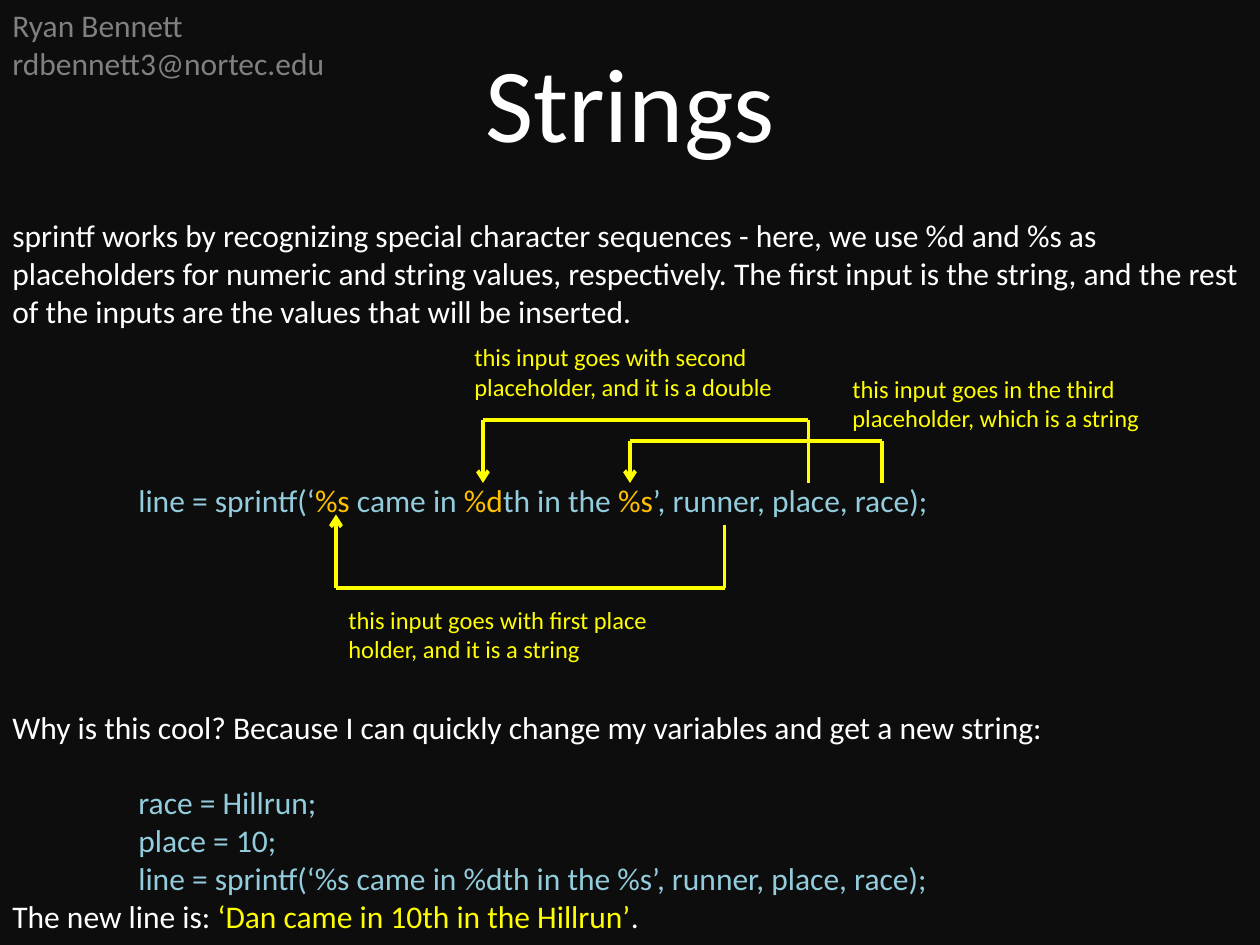
from dataclasses import dataclass

from lxml.etree import SubElement
from pptx import Presentation
from pptx.dml.color import RGBColor
from pptx.enum.shapes import MSO_CONNECTOR
from pptx.enum.text import PP_ALIGN
from pptx.oxml.ns import qn
from pptx.util import Inches, Pt

BLACK = RGBColor(0x0D, 0x0D, 0x0D)
GRAY = RGBColor(0x80, 0x80, 0x80)
WHITE = RGBColor(0xFF, 0xFF, 0xFF)
BLUE = RGBColor(0x93, 0xCD, 0xDD)
ORANGE = RGBColor(0xFF, 0xC0, 0x00)
YELLOW = RGBColor(0xFF, 0xFF, 0x00)
FONT = "Calibri"
BODY_LINE = 21.6  # points per line of 18 pt text


@dataclass
class Box:
    """Left, top, width and height in grid units."""
    col: float
    row: float
    cols: float
    rows: float


@dataclass
class Para:
    runs: list[tuple[str, RGBColor]]
    gap: int = 0  # empty lines above
    indent: float = 0  # inches


@dataclass
class Link:
    """Bracket from an input, along a bar, to its placeholder."""
    source_col: float
    source_row: float
    bar_row: float
    target_col: float
    target_row: float
    note: str
    note_col: float
    note_row: float


TITLE = Box(0, 3, 120, 13.3)
AUTHOR = Box(0, 0, 43, 8.5)
BODY = Box(0, 20, 120, 74)

AUTHOR_PARAS = [Para([(t, GRAY)]) for t in ("Ryan Bennett", "rdbennett3@nortec.edu")]

BODY_PARAS = [
    Para([("sprintf works by recognizing special character sequences - here, we use "
           "%d and %s as placeholders for numeric and string values, respectively. "
           "The first input is the string, and the rest of the inputs are the values "
           "that will be inserted.", WHITE)]),
    Para([("line = sprintf(‘", BLUE), ("%s ", ORANGE), ("came in ", BLUE),
          ("%d", ORANGE), ("th in the ", BLUE), ("%s", ORANGE),
          ("’, runner, place, race);", BLUE)], gap=4, indent=1),
    Para([("Why is this cool? Because I can quickly change my variables "
           "and get a new string:", WHITE)], gap=5),
    Para([("race = Hillrun;", BLUE)], gap=1, indent=1),
    Para([("place = 10;", BLUE)], indent=1),
    Para([("line = sprintf(‘%s came in %dth in the %s’, runner, place, race);", BLUE)],
         indent=1),
    Para([("The new line is: ", WHITE), ("‘Dan came in 10th in the Hillrun’", YELLOW),
          (".", WHITE)]),
]

LINKS = [
    Link(69, 50, 56, 32, 49,
         "this input goes with first place holder, and it is a string", 32, 57),
    Link(77, 46, 40, 46, 46,
         "this input goes with second placeholder, and it is a double", 44, 32),
    Link(84, 46, 42, 60, 46,
         "this input goes in the third placeholder, which is a string", 80, 35),
]


def grid(n: float) -> int:
    """Turn grid units, twelve to the inch, into a length."""
    return Inches(n / 12)


def add_text(slide, box: Box, paras: list[Para], size: float,
             align: PP_ALIGN = PP_ALIGN.LEFT) -> None:
    sp = slide.shapes.add_textbox(*map(grid, (box.col, box.row, box.cols, box.rows)))
    tf = sp.text_frame
    tf.word_wrap = True
    for i, para in enumerate(paras):
        p = tf.add_paragraph() if i else tf.paragraphs[0]
        p.alignment = align
        if para.gap:
            p.space_before = Pt(para.gap * BODY_LINE)
        if para.indent:
            p._p.get_or_add_pPr().set("marL", str(Inches(para.indent)))
        for text, color in para.runs:
            r = p.add_run()
            r.text = text
            r.font.name = FONT
            r.font.size = Pt(size)
            r.font.color.rgb = color


def add_line(slide, start: tuple[float, float], end: tuple[float, float],
             arrow: bool = False) -> None:
    line = slide.shapes.add_connector(MSO_CONNECTOR.STRAIGHT, *map(grid, start + end))
    line.line.color.rgb = YELLOW
    line.line.width = Pt(2.25)
    if arrow:
        SubElement(line.line._get_or_add_ln(), qn("a:tailEnd"), type="arrow")
    SubElement(line._element.spPr, qn("a:effectLst"))


def add_link(slide, link: Link) -> None:
    source_corner = (link.source_col, link.bar_row)
    target_corner = (link.target_col, link.bar_row)
    add_line(slide, (link.source_col, link.source_row), source_corner)
    add_line(slide, target_corner, source_corner)
    add_line(slide, target_corner, (link.target_col, link.target_row), arrow=True)
    add_text(slide, Box(link.note_col, link.note_row, 35, 6.85),
             [Para([(link.note, YELLOW)])], 14)


def main() -> None:
    prs = Presentation()
    prs.slide_width, prs.slide_height = Inches(10), Inches(7.5)
    slide = prs.slides.add_slide(prs.slide_layouts[6])
    slide.background.fill.solid()
    slide.background.fill.fore_color.rgb = BLACK

    add_text(slide, AUTHOR, AUTHOR_PARAS, 18)
    add_text(slide, TITLE, [Para([("Strings", WHITE)])], 60, PP_ALIGN.CENTER)
    add_text(slide, BODY, BODY_PARAS, 18)
    for link in LINKS:
        add_link(slide, link)
    prs.save("out.pptx")


if __name__ == "__main__":
    main()
